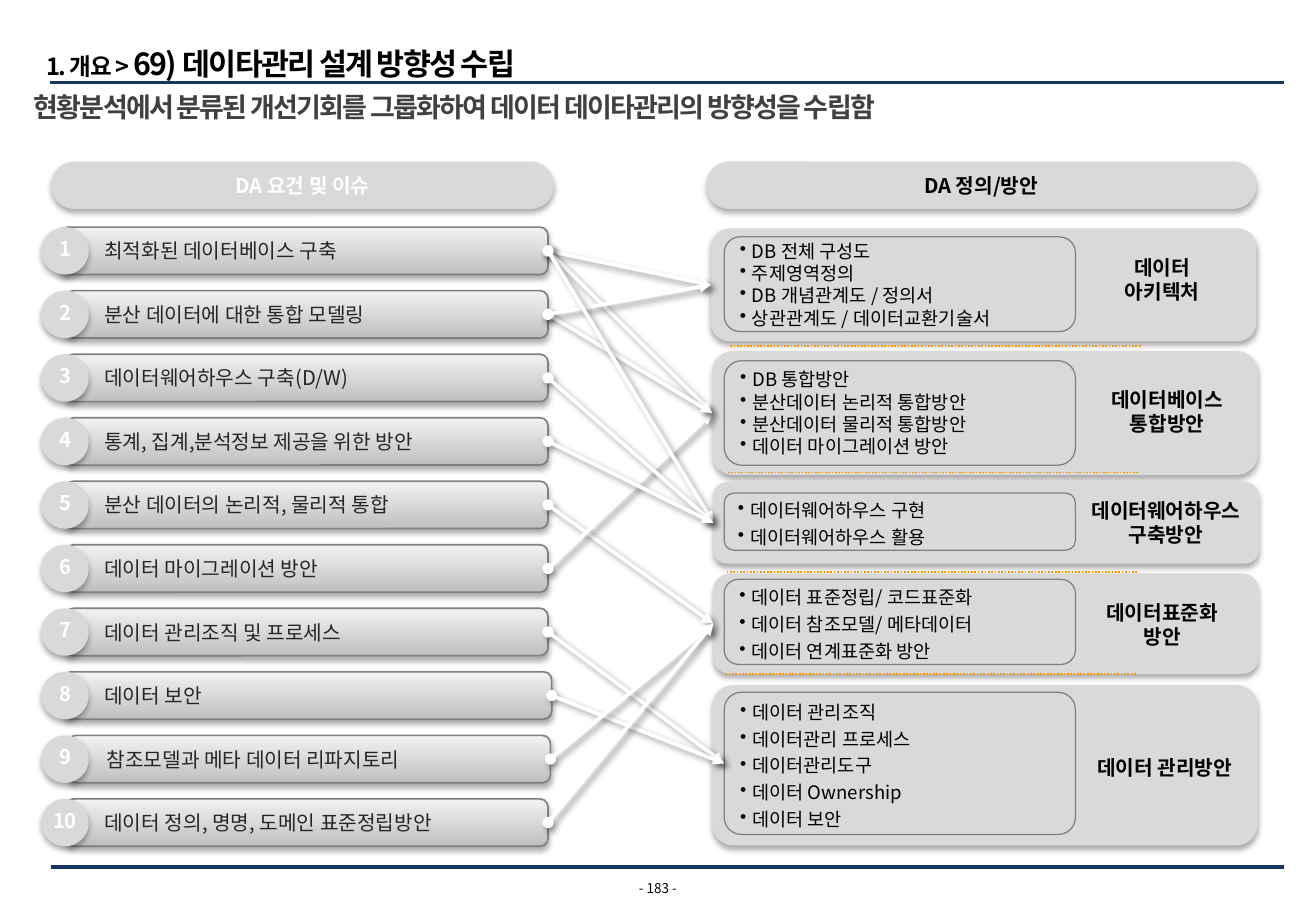
from lxml.etree import SubElement
from pptx import Presentation
from pptx.dml.color import RGBColor
from pptx.enum.dml import MSO_LINE
from pptx.enum.shapes import MSO_CONNECTOR, MSO_SHAPE
from pptx.enum.text import MSO_ANCHOR, MSO_AUTO_SIZE, PP_ALIGN
from pptx.oxml.ns import qn
from pptx.util import Inches, Pt

NAVY = RGBColor(0x17, 0x37, 0x5E)
ORANGE = RGBColor(0xFF, 0x99, 0x00)
WHITE = RGBColor(0xFF, 0xFF, 0xFF)
BLACK = RGBColor(0, 0, 0)
CHARCOAL = RGBColor(0x26, 0x26, 0x26)
DARK_GRAY = RGBColor(0x40, 0x40, 0x40)
MID_GRAY = RGBColor(0x80, 0x80, 0x80)
SILVER = RGBColor(0xBF, 0xBF, 0xBF)
PALE = RGBColor(0xF2, 0xF2, 0xF2)
PANEL = RGBColor(0xD9, 0xD9, 0xD9)
TYPEFACE = "Noto Sans CJK KR"

BREADCRUMB = "1. 개요 > "
HEADING = "69) 데이타관리 설계 방향성 수립"
MESSAGE = "현황분석에서 분류된 개선기회를 그룹화하여 데이터 데이타관리의 방향성을 수립함"
PAGE_NUMBER = "- 183 -"
COLUMN_HEADS = [
    ("DA 요건 및 이슈", 0.42, 4.14, WHITE),
    ("DA 정의/방안", 5.81, 4.53, BLACK),
]
ISSUES = [
    ("최적화된 데이터베이스 구축", 0.49, 4.02),
    ("분산 데이터에 대한 통합 모델링", 0.54, 3.97),
    ("데이터웨어하우스 구축(D/W)", 0.54, 3.97),
    ("통계, 집계,분석정보 제공을 위한 방안", 0.54, 3.97),
    ("분산 데이터의 논리적, 물리적 통합", 0.54, 3.97),
    ("데이터 마이그레이션 방안", 0.54, 3.97),
    ("데이터 관리조직 및 프로세스", 0.54, 3.97),
    ("데이터 보안", 0.52, 4.02),
    ("참조모델과 메타 데이터 리파지토리", 0.56, 3.97),
    ("데이터 정의, 명명, 도메인 표준정립방안", 0.54, 3.97),
]
PLANS = [
    dict(card=(5.85, 1.88, 4.49, 0.93), card_round=0.167,
         detail=(5.96, 1.95, 2.89, 0.78), detail_round=0.167, spacing=1.0,
         label=(8.9, 2.05, 1.33, 0.51), name=["데이터", "아키텍처"],
         items=["DB 전체 구성도", "주제영역정의", "DB 개념관계도 / 정의서",
                "상관관계도 / 데이터교환기술서"]),
    dict(card=(5.86, 2.89, 4.49, 1.02), card_round=0.167,
         detail=(5.96, 2.97, 2.89, 0.86), detail_round=0.167, spacing=1.0,
         label=(8.9, 3.14, 1.41, 0.51), name=["데이터베이스 통합방안"],
         items=["DB 통합방안", "분산데이터 논리적 통합방안",
                "분산데이터 물리적 통합방안", "데이터 마이그레이션 방안"]),
    dict(card=(5.87, 3.97, 4.49, 0.67), card_round=0.167,
         detail=(5.96, 4.06, 2.89, 0.47), detail_round=0.167, spacing=1.2,
         label=(8.75, 4.05, 1.69, 0.5), name=["데이터웨어하우스", "구축방안"],
         items=["데이터웨어하우스 구현", "데이터웨어하우스 활용"]),
    dict(card=(5.87, 4.72, 4.49, 0.83), card_round=0.167,
         detail=(5.96, 4.77, 2.89, 0.7), detail_round=0.167, spacing=1.2,
         label=(8.81, 4.89, 1.51, 0.51), name=["데이터표준화", "방안"],
         items=["데이터 표준정립/ 코드표준화", "데이터 참조모델/ 메타데이터",
                "데이터 연계표준화 방안"]),
    dict(card=(5.86, 5.64, 4.49, 1.32), card_round=0.133,
         detail=(5.96, 5.7, 2.89, 1.17), detail_round=0.12, spacing=1.2,
         label=(8.81, 6.17, 1.55, 0.3), name=["데이터 관리방안"],
         items=["데이터 관리조직", "데이터관리 프로세스", "데이터관리도구",
                "데이터 Ownership", "데이터 보안"]),
]
ISSUE_TO_PLAN = [(5, 4), (6, 2), (7, 5), (1, 1), (1, 2), (2, 2), (2, 1),
                 (1, 3), (3, 3), (4, 3), (8, 5), (9, 4), (10, 4)]
DIVIDERS = [(6.01, 2.85), (5.99, 3.89), (5.98, 4.71), (5.97, 5.55)]
DIVIDER_WIDTH = 3.38
RULES = [(0.41, 0.68), (0.42, 7.14)]
RULE_END = 10.57

ISSUE_TOP, ISSUE_PITCH, ISSUE_HEIGHT = 1.87, 0.523, 0.39
ISSUE_TEXT_LEFT = 0.84
SOFT_SHADOW = dict(alpha=32, blur=3.5, dist=2.2, angle=90)
ARROW_SHADOW = dict(alpha=40, blur=4, dist=3, angle=45)


def assign(target, values):
    for key, value in values.items():
        setattr(target, key, value)


def margins(left=0, top=0, right=0, bottom=0):
    return dict(margin_left=Inches(left), margin_top=Inches(top),
                margin_right=Inches(right), margin_bottom=Inches(bottom))


def add_run(paragraph, text, size, color, bold=False, tight=False):
    run = paragraph.add_run()
    run.text = text
    run.font.color.rgb = color
    assign(run.font, dict(size=Pt(size), bold=bold, name=TYPEFACE))
    properties = run.font._element
    SubElement(properties, qn("a:ea"), typeface=TYPEFACE)
    if tight:
        properties.set("spc", "-100")


def write(shape, lines, size, color, bold=False, tight=False, bullet=False,
          align=PP_ALIGN.LEFT, spacing=1.0, anchor=MSO_ANCHOR.MIDDLE, inset=None):
    frame = shape.text_frame
    assign(frame, dict(word_wrap=True, vertical_anchor=anchor, **(inset or margins())))
    for index, line in enumerate(lines):
        paragraph = frame.add_paragraph() if index else frame.paragraphs[0]
        assign(paragraph, dict(alignment=align, line_spacing=spacing))
        if bullet:
            properties = paragraph._p.get_or_add_pPr()
            properties.set("marL", str(Inches(0.19)))
            properties.set("indent", str(-Inches(0.1)))
            SubElement(properties, qn("a:buChar"), char="•")
        add_run(paragraph, line, size, color, bold, tight)


def cast_shadow(shape, alpha, blur, dist, angle):
    effects = shape._element.spPr.find(qn("a:effectLst"))
    shadow = SubElement(effects, qn("a:outerShdw"), blurRad=str(Pt(blur)),
                        dist=str(Pt(dist)), dir=str(angle * 60000),
                        algn="ctr", rotWithShape="0")
    black = SubElement(shadow, qn("a:srgbClr"), val="000000")
    SubElement(black, qn("a:alpha"), val=str(alpha * 1000))


def add_panel(kind, box, rounding=None, outline=None, shadow=True):
    panel = slide.shapes.add_shape(kind, *map(Inches, box))
    panel.shadow.inherit = False
    panel.fill.solid()
    panel.fill.fore_color.rgb = PANEL
    if rounding:
        panel.adjustments[0] = rounding
    if outline:
        panel.line.color.rgb = MID_GRAY
        panel.line.width = Pt(outline)
    else:
        panel.line.fill.background()
    if shadow:
        cast_shadow(panel, **SOFT_SHADOW)
    return panel


def add_line(start, end, color, width):
    line = slide.shapes.add_connector(MSO_CONNECTOR.STRAIGHT, *map(Inches, start + end))
    line.line.color.rgb = color
    line.line.width = Pt(width)
    SubElement(line._element.spPr, qn("a:effectLst"))
    return line


deck = Presentation()
assign(deck, dict(slide_width=Inches(10.83), slide_height=Inches(7.5)))
slide = deck.slides.add_slide(deck.slide_layouts[5])

for left, top in RULES:
    add_line((left, top), (RULE_END, top), NAVY, 2.25)

title = slide.shapes.title
assign(title, dict(left=Inches(0.14), top=Inches(0.21), width=Inches(7.12), height=Inches(0.46)))
write(title, [BREADCRUMB], 14, BLACK, bold=True, tight=True,
      anchor=MSO_ANCHOR.TOP, inset=margins(0.24, 0.16))
title.text_frame.auto_size = MSO_AUTO_SIZE.NONE
add_run(title.text_frame.paragraphs[0], HEADING, 18, BLACK, bold=True, tight=True)

message = slide.shapes.add_textbox(*map(Inches, (0.18, 0.7, 10.4, 0.37)))
write(message, [MESSAGE], 16, DARK_GRAY, bold=True, tight=True,
      anchor=MSO_ANCHOR.TOP, inset=margins(0.1, 0.05, 0.1, 0.05))
page = slide.shapes.add_textbox(*map(Inches, (5.08, 7.25, 0.67, 0.13)))
write(page, [PAGE_NUMBER], 8, BLACK, align=PP_ALIGN.CENTER)

for text, left, width, color in COLUMN_HEADS:
    head = add_panel(MSO_SHAPE.ROUNDED_RECTANGLE, (left, 1.33, width, 0.39), 0.5)
    write(head, [text], 12, color, bold=True, align=PP_ALIGN.CENTER)

issue_bars = []
for row, (text, left, width) in enumerate(ISSUES):
    top = ISSUE_TOP + row * ISSUE_PITCH
    bar = add_panel(MSO_SHAPE.ROUNDED_RECTANGLE, (left, top, width, ISSUE_HEIGHT), 0.167, 1)
    bar.fill.gradient()
    bar.fill.gradient_angle = 90
    for stop, color in zip(bar.fill.gradient_stops, (SILVER, PALE)):
        stop.color.rgb = color
    write(bar, [text], 12, CHARCOAL, inset=margins(max(0.3, ISSUE_TEXT_LEFT - left)))
    issue_bars.append(bar)

arrow_targets = []
for plan in PLANS:
    card = add_panel(MSO_SHAPE.ROUNDED_RECTANGLE, plan["card"], plan["card_round"])
    label = slide.shapes.add_textbox(*map(Inches, plan["label"]))
    write(label, plan["name"], 12, BLACK, bold=True, align=PP_ALIGN.CENTER,
          anchor=MSO_ANCHOR.TOP, inset=margins(0.1, 0.05, 0.1, 0.05))
    detail = add_panel(MSO_SHAPE.ROUNDED_RECTANGLE, plan["detail"],
                       plan["detail_round"], 0.75, shadow=False)
    write(detail, plan["items"], 11, BLACK, bullet=True, spacing=plan["spacing"])
    arrow_targets.append(detail if plan is PLANS[-1] else card)

for left, top in DIVIDERS:
    divider = add_line((left, top), (left + DIVIDER_WIDTH, top), ORANGE, 1)
    divider.line.dash_style = MSO_LINE.ROUND_DOT

for issue, plan in ISSUE_TO_PLAN:
    arrow = add_line((0, 0), (1, 1), WHITE, 2.25)
    arrow.begin_connect(issue_bars[issue - 1], 3)
    arrow.end_connect(arrow_targets[plan - 1], 1)
    stroke = arrow._element.spPr.find(qn("a:ln"))
    SubElement(stroke, qn("a:headEnd"), type="oval")
    SubElement(stroke, qn("a:tailEnd"), type="triangle")
    cast_shadow(arrow, **ARROW_SHADOW)

for row in range(len(ISSUES)):
    badge = add_panel(MSO_SHAPE.OVAL, (0.34, ISSUE_TOP + row * ISSUE_PITCH, 0.39, 0.39))
    write(badge, [str(row + 1)], 12, WHITE, bold=True, tight=True,
          align=PP_ALIGN.CENTER, spacing=0.8)

deck.save("out.pptx")
